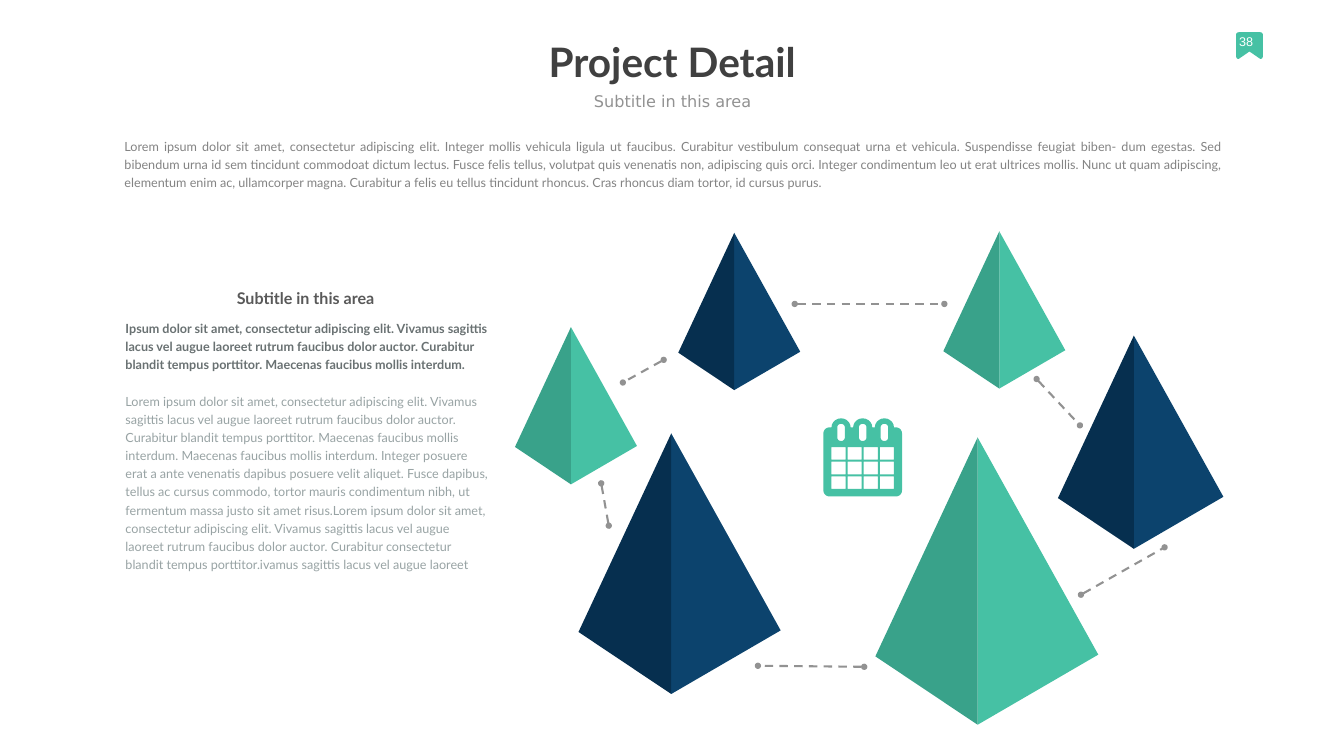
from dataclasses import dataclass
from math import cos, pi, sin

from lxml import etree
from pptx import Presentation
from pptx.dml.color import RGBColor
from pptx.enum.dml import MSO_LINE
from pptx.enum.text import MSO_ANCHOR, MSO_AUTO_SIZE, PP_ALIGN
from pptx.oxml.ns import qn
from pptx.util import Inches, Pt

LEFT, MID, JUST = PP_ALIGN.LEFT, PP_ALIGN.CENTER, PP_ALIGN.JUSTIFY
TOP, CORE = MSO_ANCHOR.TOP, MSO_ANCHOR.MIDDLE
FIXED = MSO_AUTO_SIZE.NONE
DASH = MSO_LINE.DASH

# The grid has square cells of one inch
COLS, ROWS = 26.67, 15


@dataclass(frozen=True)
class Theme:
    font: str = "Lato"
    green: str = "46C1A4"
    moss: str = "39A28A"
    blue: str = "0C436D"
    navy: str = "062F4F"
    white: str = "FFFFFF"
    dark: str = "404040"
    head: str = "595959"
    lead: str = "697172"
    pale: str = "98A3A4"
    body: str = "838383"
    gray: str = "929292"
    big: int = 58
    sub: int = 23
    small: int = 18


def arc(x, y, rx, ry, start, end, steps=10):
    """Points on an ellipse; angles in quarter turns, clockwise from the right."""
    turns = [(start + (end - start) * i / steps) * pi / 2 for i in range(steps + 1)]
    return [(x + rx * cos(t), y + ry * sin(t)) for t in turns]


def block(x, y, w, h, r=0, top=(), base=()):
    """Rounded box; extra points may run along its top and base."""
    if not r:
        return [(x, y), (x + w, y), (x + w, y + h), (x, y + h)]
    x1, x2, y1, y2 = x + r, x + w - r, y + r, y + h - r
    return [*arc(x1, y1, r, r, 2, 3), *top, *arc(x2, y1, r, r, 3, 4),
            *arc(x2, y2, r, r, 0, 1), *base, *arc(x1, y2, r, r, 1, 2)]


def write(para, text, size, color, font, bold=False, align=LEFT, space=None, gap=None):
    para.alignment = align
    if space:
        para.line_spacing = space
    if gap:
        para.space_before = Pt(gap)
    run = para.add_run()
    run.text = text
    run.font.name, run.font.size, run.font.bold = font, Pt(size), bold
    run.font.color.rgb = RGBColor.from_string(color)


class Page:
    def __init__(self, slide, theme):
        self.slide, self.theme = slide, theme

    def frame(self, shape, box, pad=0, anchor=TOP):
        shape.left, shape.top, shape.width, shape.height = map(Inches, box)
        area = shape.text_frame
        area.word_wrap, area.auto_size = True, FIXED
        area.vertical_anchor = anchor
        area.margin_left = area.margin_right = Inches(pad)
        area.margin_top = area.margin_bottom = Inches(pad)
        return area

    def title(self, text, box):
        area = self.frame(self.slide.shapes.title, box, 0.06, CORE)
        write(area.paragraphs[0], text, self.theme.big, self.theme.dark,
              self.theme.font, bold=True, align=MID)

    def text(self, box, *parts):
        """Each part is a text and the format of its paragraph."""
        area = self.frame(self.slide.shapes.add_textbox(0, 0, 0, 0), box)
        base = {"size": self.theme.small, "font": self.theme.font}
        for i, (text, style) in enumerate(parts):
            para = area.add_paragraph() if i else area.paragraphs[0]
            write(para, text, **{**base, **style})

    def form(self, color, *loops):
        """One filled outline; loops after the first are holes."""
        pen = None
        for loop in loops:
            dots = [(Inches(x), Inches(y)) for x, y in loop]
            if pen is None:
                pen = self.slide.shapes.build_freeform(*dots[0])
            else:
                pen.move_to(*dots[0])
            pen.add_line_segments(dots[1:], close=True)
        shape = pen.convert_to_shape()
        shape.shadow.inherit = False
        shape.fill.solid()
        shape.fill.fore_color.rgb = RGBColor.from_string(color)
        shape.line.fill.background()

    def cone(self, x, y, high, light, shade):
        """Pyramid with its peak at x, y; both faces scale with the height."""
        peak, foot = (x, y), (x, y + high)
        self.form(light, [foot, peak, (x + 0.42 * high, y + 0.756 * high)])
        self.form(shade, [peak, (x - 0.356 * high, y + 0.762 * high), foot])

    def link(self, *ends):
        line = self.slide.shapes.add_connector(1, *map(Inches, ends))
        line.line.color.rgb = RGBColor.from_string(self.theme.gray)
        line.line.width, line.line.dash_style = Pt(3), DASH
        props = line._element.spPr
        for tag in ("a:headEnd", "a:tailEnd"):
            etree.SubElement(props.find(qn("a:ln")), qn(tag), type="oval")
        etree.SubElement(props, qn("a:effectLst"))

    def badge(self, x, y, side):
        notch = [(x + side / 2, y + 0.72 * side)]
        self.form(self.theme.green, block(x, y, side, side, 0.05, base=notch))

    def dates(self, x, y):
        """Calendar: body with three rings, pin holes and a grid of days."""
        pins = [x + 0.35 + 0.43 * i for i in range(3)]
        rings = [dot for pin in pins for dot in arc(pin, y + 0.18, 0.19, 0.18, 2, 4)]
        body = block(x, y + 0.18, 1.56, 1.37, 0.12, top=rings)
        holes = [block(pin - 0.075, y + 0.11, 0.15, 0.34, 0.07) for pin in pins]
        days = [block(x + 0.16 + 0.32 * col, y + 0.57 + 0.29 * row, 0.28, 0.25)
                for col in range(4) for row in range(3)]
        self.form(self.theme.green, body, *holes, *days)


INTRO = (
    "Lorem ipsum dolor sit amet, consectetur adipiscing elit. Integer mollis vehicula "
    "ligula ut faucibus. Curabitur vestibulum consequat urna et vehicula. Suspendisse "
    "feugiat biben- dum egestas. Sed bibendum urna id sem tincidunt commodoat dictum "
    "lectus. Fusce felis tellus, volutpat quis venenatis non, adipiscing quis orci. "
    "Integer condimentum leo ut erat ultrices mollis. Nunc ut quam adipiscing, elementum "
    "enim ac, ullamcorper magna. Curabitur a felis eu tellus tincidunt rhoncus. Cras "
    "rhoncus diam tortor, id cursus purus.")
LEAD = (
    "Ipsum dolor sit amet, consectetur adipiscing elit. Vivamus sagittis lacus vel augue "
    "laoreet rutrum faucibus dolor auctor. Curabitur blandit tempus porttitor. Maecenas "
    "faucibus mollis interdum.")
STORY = (
    "Lorem ipsum dolor sit amet, consectetur adipiscing elit. Vivamus sagittis lacus vel "
    "augue laoreet rutrum faucibus dolor auctor. Curabitur blandit tempus porttitor. "
    "Maecenas faucibus mollis interdum. Maecenas faucibus mollis interdum. Integer posuere "
    "erat a ante venenatis dapibus posuere velit aliquet. Fusce dapibus, tellus ac cursus "
    "commodo, tortor mauris condimentum nibh, ut fermentum massa justo sit amet risus."
    "Lorem ipsum dolor sit amet, consectetur adipiscing elit. Vivamus sagittis lacus vel "
    "augue laoreet rutrum faucibus dolor auctor. Curabitur consectetur blandit tempus "
    "porttitor.ivamus sagittis lacus vel augue laoreet")


def main():
    deck = Presentation()
    deck.slide_width, deck.slide_height = Inches(COLS), Inches(ROWS)
    theme = Theme()
    page = Page(deck.slides.add_slide(deck.slide_layouts[5]), theme)
    label = "Subtitle in this area"

    # Header and page number
    page.badge(24.53, 0.64, 0.53)
    page.text((24.59, 0.67, 0.4, 0.39), ("38", dict(color=theme.white, font="Arial")))
    page.title("Project Detail", (3.61, 0.69, 19.46, 1.07))
    page.text((3.62, 1.82, 19.46, 0.39), (label, dict(
        size=theme.sub, color=theme.gray, font="DejaVu Sans", align=MID)))
    page.text((2.47, 2.7, 21.78, 1.04), (INTRO, dict(
        color=theme.body, align=JUST, space=1.2)))

    # Pyramids: peak and height
    blue, green = (theme.blue, theme.navy), (theme.green, theme.moss)
    for x, y, high, tones in (
        (13.32, 8.6, 5.17, blue), (11.33, 6.49, 3.12, green),
        (19.4, 8.68, 5.7, green), (14.57, 4.62, 3.12, blue),
        (19.83, 4.59, 3.12, green), (22.5, 6.66, 4.23, blue),
    ):
        page.cone(x, y, high, *tones)

    # Dashed links around the ring
    for ends in (
        (17.15, 13.23, 15.04, 13.21), (12.08, 10.43, 11.93, 9.59),
        (13.17, 7.14, 12.36, 7.59), (15.77, 6.03, 18.74, 6.03),
        (20.57, 7.52, 21.43, 8.44), (21.45, 11.8, 23.11, 10.86),
    ):
        page.link(*ends)

    # Side column
    page.text((2.49, 6.31, 7.26, 5.56),
              (LEAD, dict(color=theme.lead, bold=True, space=1.2)),
              (STORY, dict(color=theme.pale, space=1.2, gap=26)))
    page.text((2.99, 5.72, 6.15, 0.39), (label, dict(
        size=theme.sub, color=theme.head, bold=True, align=MID)))

    # Calendar in the centre
    page.dates(16.34, 8.3)
    deck.save("out.pptx")


if __name__ == "__main__":
    main()
